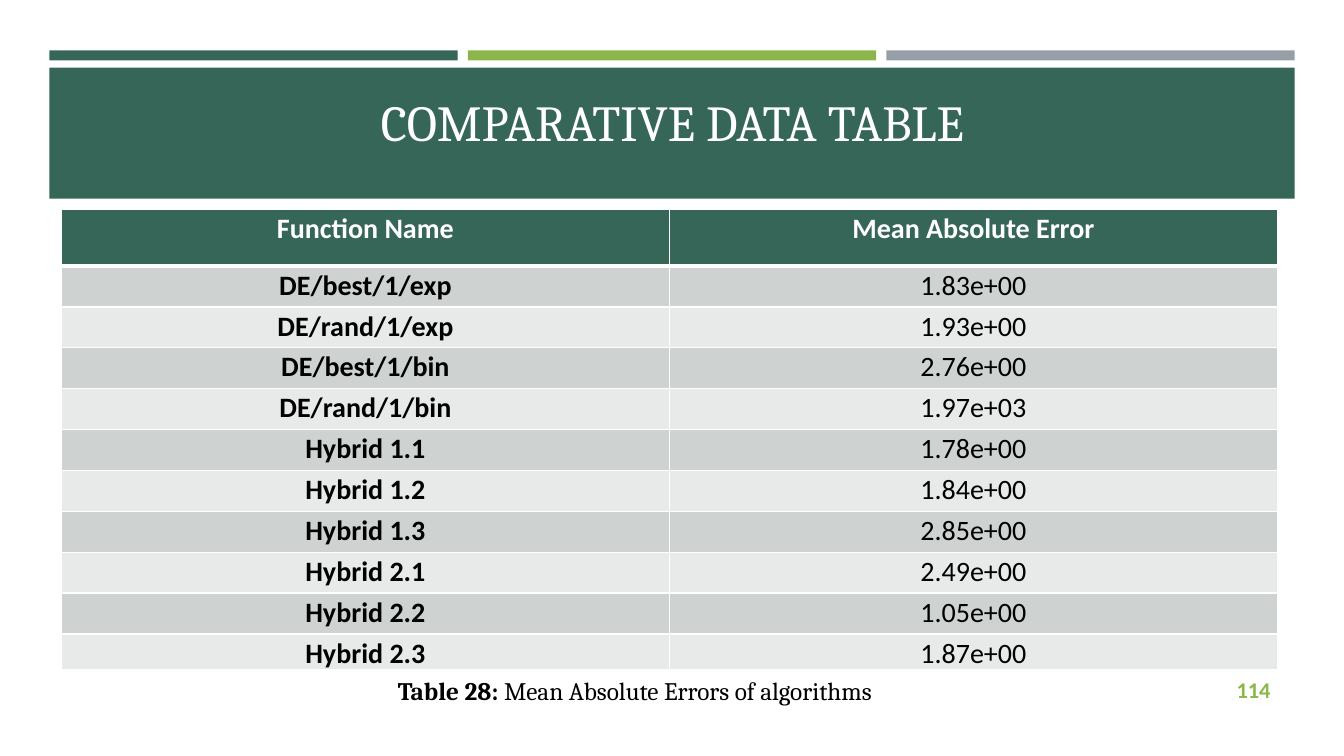
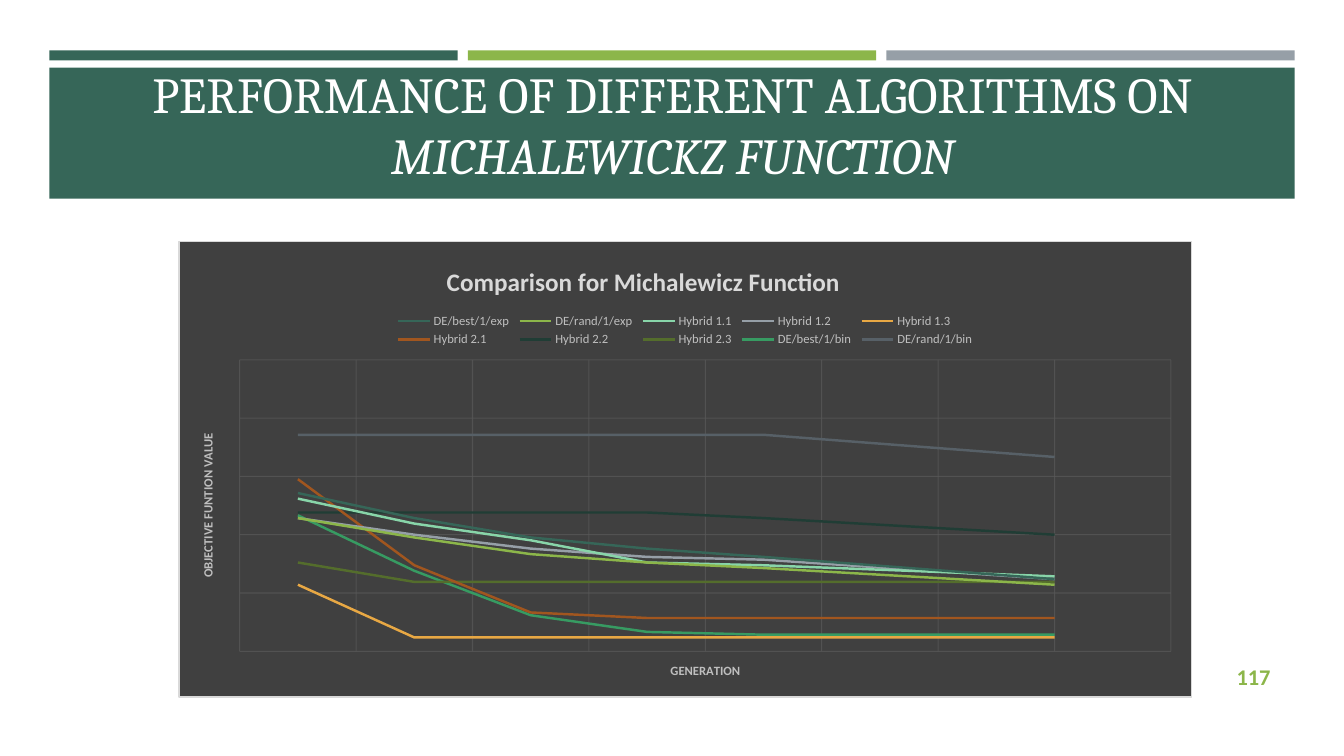
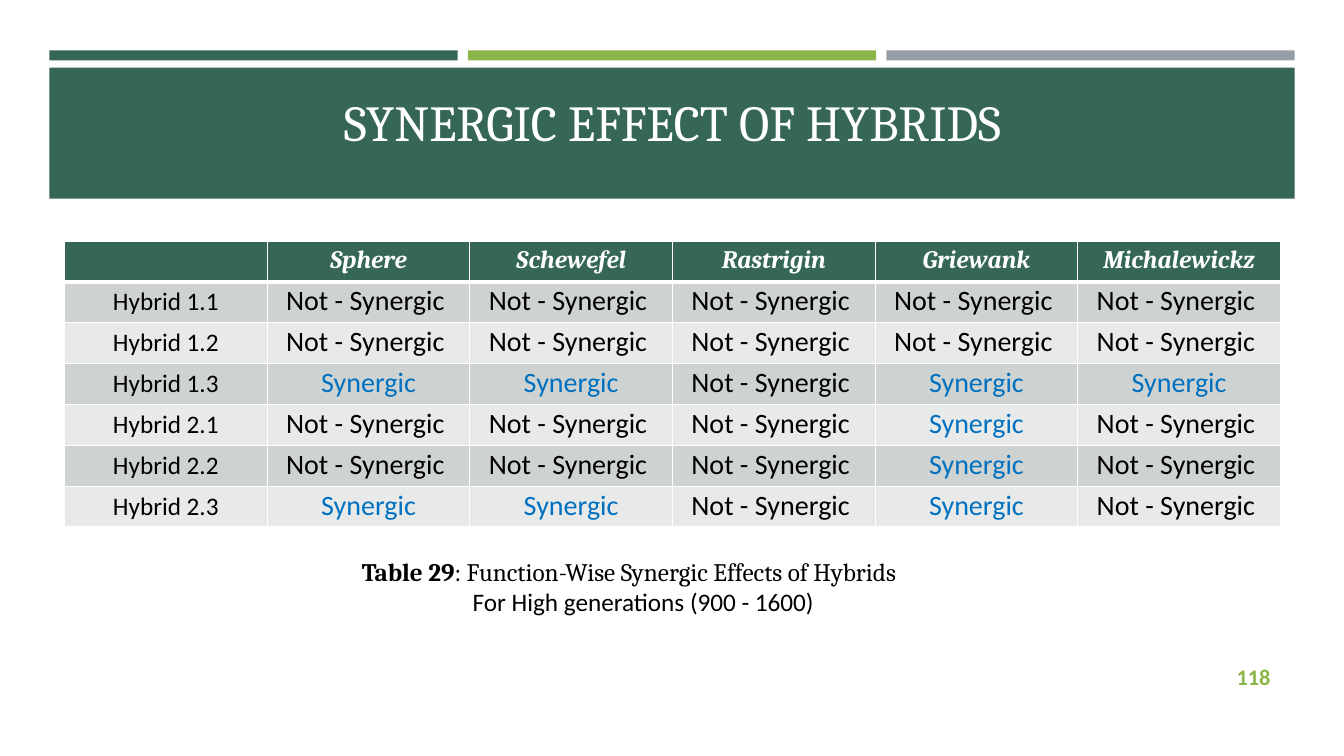
from dataclasses import dataclass, field
from typing import NamedTuple

from lxml.etree import SubElement
from pptx import Presentation
from pptx.chart.data import XyChartData
from pptx.dml.color import RGBColor
from pptx.enum.chart import XL_CHART_TYPE, XL_LEGEND_POSITION
from pptx.enum.shapes import MSO_SHAPE
from pptx.enum.text import MSO_ANCHOR, PP_ALIGN
from pptx.oxml import parse_xml
from pptx.oxml.ns import nsdecls, qn
from pptx.util import Inches, Pt

SLIDE_W, SLIDE_H = 13.33, 7.5
GREEN, LIME, GREY = "366658", "8CB64A", "969FA7"
WHITE, BLACK, BLUE = "FFFFFF", "000000", "0070C0"
ROW_FILLS = ("CED3D1", "E8EAEA")
HEAD, BODY = "Cambria", "Calibri"
EDGE, GAP = 0.49, 0.1
CONTENT_X, CONTENT_W = 0.64, 12.06
BAR_W = (SLIDE_W - 2 * EDGE - 2 * GAP) / 3


class Box(NamedTuple):
    x: float
    y: float
    w: float
    h: float

    def emu(self) -> tuple:
        return tuple(Inches(v) for v in self)


@dataclass(frozen=True)
class Style:
    size: float
    name: str = BODY
    color: str = BLACK
    bold: bool = False
    italic: bool = False


@dataclass(frozen=True)
class Cell:
    text: str
    style: Style
    tight: bool = True


@dataclass(frozen=True)
class Para:
    runs: list
    align: PP_ALIGN = PP_ALIGN.CENTER
    indent: float = 0


@dataclass(frozen=True)
class Curve:
    name: str
    color: str
    values: tuple = field(default_factory=tuple)


TITLE = Style(36, HEAD, WHITE)
TITLE_ITALIC = Style(36, HEAD, WHITE, italic=True)
PAGE = Style(16, BODY, LIME, bold=True)
CAPTION, CAPTION_BOLD = Style(18, HEAD), Style(18, HEAD, bold=True)

ERRORS = [
    ("DE/best/1/exp", "1.83e+00"), ("DE/rand/1/exp", "1.93e+00"),
    ("DE/best/1/bin", "2.76e+00"), ("DE/rand/1/bin", "1.97e+03"),
    ("Hybrid 1.1", "1.78e+00"), ("Hybrid 1.2", "1.84e+00"),
    ("Hybrid 1.3", "2.85e+00"), ("Hybrid 2.1", "2.49e+00"),
    ("Hybrid 2.2", "1.05e+00"), ("Hybrid 2.3", "1.87e+00"),
]
FUNCTIONS = ["Sphere", "Schewefel", "Rastrigin", "Griewank", "Michalewickz"]
SYNERGIC = {
    "Hybrid 1.1": (),
    "Hybrid 1.2": (),
    "Hybrid 1.3": ("Sphere", "Schewefel", "Griewank", "Michalewickz"),
    "Hybrid 2.1": ("Griewank",),
    "Hybrid 2.2": ("Griewank",),
    "Hybrid 2.3": ("Sphere", "Schewefel", "Griewank"),
}
GENERATIONS = (1600, 1100, 900, 700, 500, 300)
CURVES = [
    Curve("DE/best/1/exp", GREEN, (-79, -71, -68, -64, -57, -48)),
    Curve("DE/rand/1/exp", LIME, (-81, -75, -73, -70, -64, -57)),
    Curve("Hybrid 1.1", "88D5A9", (-78, -74, -73, -65, -59, -50)),
    Curve("Hybrid 1.2", GREY, (-79, -72, -71, -68, -63, -57)),
    Curve("Hybrid 1.3", "E8A844", (-100, -100, -100, -100, -100, -81)),
    Curve("Hybrid 2.1", "A1561F", (-93, -93, -93, -91, -74, -43)),
    Curve("Hybrid 2.2", "203D35", (-63, -57, -55, -55, -55, -55)),
    Curve("Hybrid 2.3", "546D2C", (-80, -80, -80, -80, -80, -73)),
    Curve("DE/best/1/bin", "379B62", (-99, -99, -98, -92, -76, -56)),
    Curve("DE/rand/1/bin", "576067", (-35, -27, -27, -27, -27, -27)),
]


def rgb(color: str) -> RGBColor:
    return RGBColor.from_string(color)


def set_font(font, style: Style) -> None:
    values = dict(size=Pt(style.size), name=style.name, bold=style.bold, italic=style.italic)
    for key, value in values.items():
        setattr(font, key, value)
    font.color.rgb = rgb(style.color)


def add_run(p, text: str, style: Style) -> None:
    r = p.add_run()
    r.text = text
    set_font(r.font, style)


def add_bar(s, box: Box, color: str) -> None:
    sp = s.shapes.add_shape(MSO_SHAPE.RECTANGLE, *box.emu())
    sp.shadow.inherit = False
    sp.fill.solid()
    sp.fill.fore_color.rgb = rgb(color)
    sp.line.fill.background()


def add_text(s, box: Box, paras: list[Para], anchor=MSO_ANCHOR.TOP) -> None:
    tf = s.shapes.add_textbox(*box.emu()).text_frame
    tf.word_wrap = True
    tf.vertical_anchor = anchor
    for i, para in enumerate(paras):
        p = tf.add_paragraph() if i else tf.paragraphs[0]
        p.alignment = para.align
        if para.indent:
            p._p.get_or_add_pPr().set("marL", str(Inches(para.indent)))
        for text, style in para.runs:
            add_run(p, text, style)


def add_base(prs, title: list, page: str, title_y: float = 0.44, page_h: float = 0.4):
    """Add a slide with the three bars, the title band and the page number."""
    s = prs.slides.add_slide(prs.slide_layouts[6])
    for i, color in enumerate((GREEN, LIME, GREY)):
        add_bar(s, Box(EDGE + i * (BAR_W + GAP), 0.5, BAR_W, 0.1), color)
    add_bar(s, Box(EDGE, 0.67, SLIDE_W - 2 * EDGE, 1.3), GREEN)
    add_text(s, Box(CONTENT_X, title_y, CONTENT_W, 1.11), [Para(title)], MSO_ANCHOR.BOTTOM)
    add_text(s, Box(11.55, 6.51, 1.15, page_h), [Para([(page, PAGE)], PP_ALIGN.RIGHT)],
             MSO_ANCHOR.MIDDLE)
    return s


def set_borders(cell, top: float, bottom: float) -> None:
    tcPr = cell._tc.get_or_add_tcPr()
    for tag, width in dict(lnL=1, lnR=1, lnT=top, lnB=bottom).items():
        ln = SubElement(tcPr, qn(f"a:{tag}"), w=str(Pt(width)))
        SubElement(SubElement(ln, qn("a:solidFill")), qn("a:srgbClr"), val=WHITE)


def add_table(s, box: Box, rows: list[list[Cell]], heights: list[float]) -> None:
    n_cols = len(rows[0])
    table = s.shapes.add_table(len(rows), n_cols, *box.emu()).table
    for col in table.columns:
        col.width = Inches(box.w / n_cols)
    for i, (row, height) in enumerate(zip(rows, heights)):
        table.rows[i].height = Inches(height)
        for j, item in enumerate(row):
            cell = table.cell(i, j)
            set_borders(cell, 3 if i == 1 else 1, 3 if i == 0 else 1)
            cell.fill.solid()
            cell.fill.fore_color.rgb = rgb(ROW_FILLS[(i - 1) % 2] if i else GREEN)
            p = cell.text_frame.paragraphs[0]
            p.alignment = PP_ALIGN.CENTER
            if item.tight:
                p.line_spacing = 1.07
                cell.margin_left = cell.margin_right = Inches(0.07)
                cell.margin_top = cell.margin_bottom = 0
            if item.text:
                add_run(p, item.text, item.style)


def set_layout(element, x: float, y: float, w: float = 0, h: float = 0, inner: bool = False) -> None:
    """Place a chart part by shares of the chart's size."""
    for old in element.findall(qn("c:layout")):
        element.remove(old)
    layout = parse_xml(f"<c:layout {nsdecls('c')}><c:manualLayout/></c:layout>")
    values = dict(layoutTarget="inner") if inner else {}
    values |= dict(xMode="edge", yMode="edge", x=x, y=y)
    if w:
        values |= dict(w=w, h=h)
    for tag, value in values.items():
        SubElement(layout[0], qn(f"c:{tag}"), val=str(value))
    before = [el for el in element if el.tag in (qn("c:tx"), qn("c:legendPos"))]
    element.insert(len(before), layout)


def style_axis(axis, title: str, low: float, high: float, step: float) -> None:
    values = dict(visible=False, minimum_scale=low, maximum_scale=high, major_unit=step,
                  has_major_gridlines=True)
    for key, value in values.items():
        setattr(axis, key, value)
    line = axis.major_gridlines.format.line
    line.width = Pt(0.75)
    line.color.rgb = rgb("595959")
    for color in axis._element.find(qn("c:majorGridlines")).iter(qn("a:srgbClr")):
        SubElement(color, qn("a:alpha"), val="75000")
    add_run(axis.axis_title.text_frame.paragraphs[0], title, Style(9, color="BFBFBF", bold=True))


def add_curves(s, box: Box) -> None:
    data = XyChartData()
    for curve in CURVES:
        series = data.add_series(curve.name)
        for x, y in zip(GENERATIONS, curve.values):
            series.add_data_point(x, y)
    chart = s.shapes.add_chart(XL_CHART_TYPE.XY_SCATTER_LINES_NO_MARKERS, *box.emu(), data).chart
    set_font(chart.font, Style(10))
    chart._chartSpace.find(qn("c:txPr")).addprevious(parse_xml(
        f'<c:spPr {nsdecls("c", "a")}><a:solidFill><a:srgbClr val="404040"/></a:solidFill>'
        f'<a:ln w="{Pt(0.75)}"><a:solidFill><a:srgbClr val="D9D9D9"/></a:solidFill></a:ln></c:spPr>'))

    chart.has_title = True
    title = chart.chart_title
    add_run(title.text_frame.paragraphs[0], "Comparison for Michalewicz Function",
            Style(18, color="D9D9D9", bold=True))
    set_layout(title._element, 0.26, 0.04)

    chart.has_legend = True
    legend = chart.legend
    legend.position = XL_LEGEND_POSITION.TOP
    legend.include_in_layout = False
    set_font(legend.font, Style(9, color="BFBFBF"))
    set_layout(legend._element, 0.21, 0.15, 0.58, 0.09)

    style_axis(chart.category_axis, "GENERATION", 200, 1800, 200)
    style_axis(chart.value_axis, "OBJECTIVE FUNTION VALUE", -105, 0, 21)
    set_layout(chart._chartSpace.chart.plotArea, 0.06, 0.26, 0.92, 0.64, inner=True)

    plot = chart.plots[0]
    plot.vary_by_categories = False
    for series, curve in zip(plot.series, CURVES):
        series.smooth = False
        series.format.line.width = Pt(1.75)
        series.format.line.color.rgb = rgb(curve.color)


def error_slide(prs) -> None:
    s = add_base(prs, [("COMPARATIVE DATA TABLE", TITLE)], "114", page_h=0.66)
    header = Style(20, color=WHITE, bold=True)
    rows = [[Cell(text, header) for text in ("Function Name", "Mean Absolute Error")]]
    rows += [[Cell(name, Style(20, bold=True)), Cell(error, Style(20))] for name, error in ERRORS]
    full_rows = len(ERRORS) - 1
    heights = [0.56] + [3.65 / full_rows] * full_rows + [0.09]
    add_table(s, Box(0.61, 2.08, CONTENT_W, 4.57), rows, heights)
    add_text(s, Box(2.99, 6.65, 6.67, 0.4), [Para([
        ("Table 28: ", CAPTION_BOLD), ("Mean Absolute Errors of algorithms ", CAPTION)])])


def performance_slide(prs) -> None:
    title = [("PERFORMANCE OF DIFFERENT ALGORITHMS ON ", TITLE),
             ("MICHALEWICKZ FUNCTION", TITLE_ITALIC)]
    s = add_base(prs, title, "117", title_y=0.77)
    add_curves(s, Box(1.77, 2.39, 10.05, 4.53))


def synergy_slide(prs) -> None:
    s = add_base(prs, [("SYNERGIC EFFECT OF HYBRIDS", TITLE)], "118")
    header = Style(18, HEAD, WHITE, bold=True, italic=True)
    yes, no = Cell("Synergic", Style(20, color=BLUE)), Cell("Not - Synergic ", Style(20))
    rows = [[Cell(text, header, tight=False) for text in ["", *FUNCTIONS]]]
    for hybrid, hits in SYNERGIC.items():
        rows.append([Cell(hybrid, Style(18), tight=False),
                     *(yes if name in hits else no for name in FUNCTIONS)])
    box = Box(CONTENT_X, 2.39, CONTENT_W, 2.84)
    add_table(s, box, rows, [box.h / len(rows)] * len(rows))
    add_text(s, Box(3.49, 5.47, 5.83, 1.01), [
        Para([("Table 29", CAPTION_BOLD), (": Function-Wise Synergic Effects of Hybrids", CAPTION)],
             PP_ALIGN.LEFT),
        Para([("For High generations (900 - 1600)", Style(18))], PP_ALIGN.LEFT, indent=1.1)])


def main() -> None:
    prs = Presentation()
    prs.slide_width, prs.slide_height = Inches(SLIDE_W), Inches(SLIDE_H)
    for build in (error_slide, performance_slide, synergy_slide):
        build(prs)
    prs.save("out.pptx")


if __name__ == "__main__":
    main()
